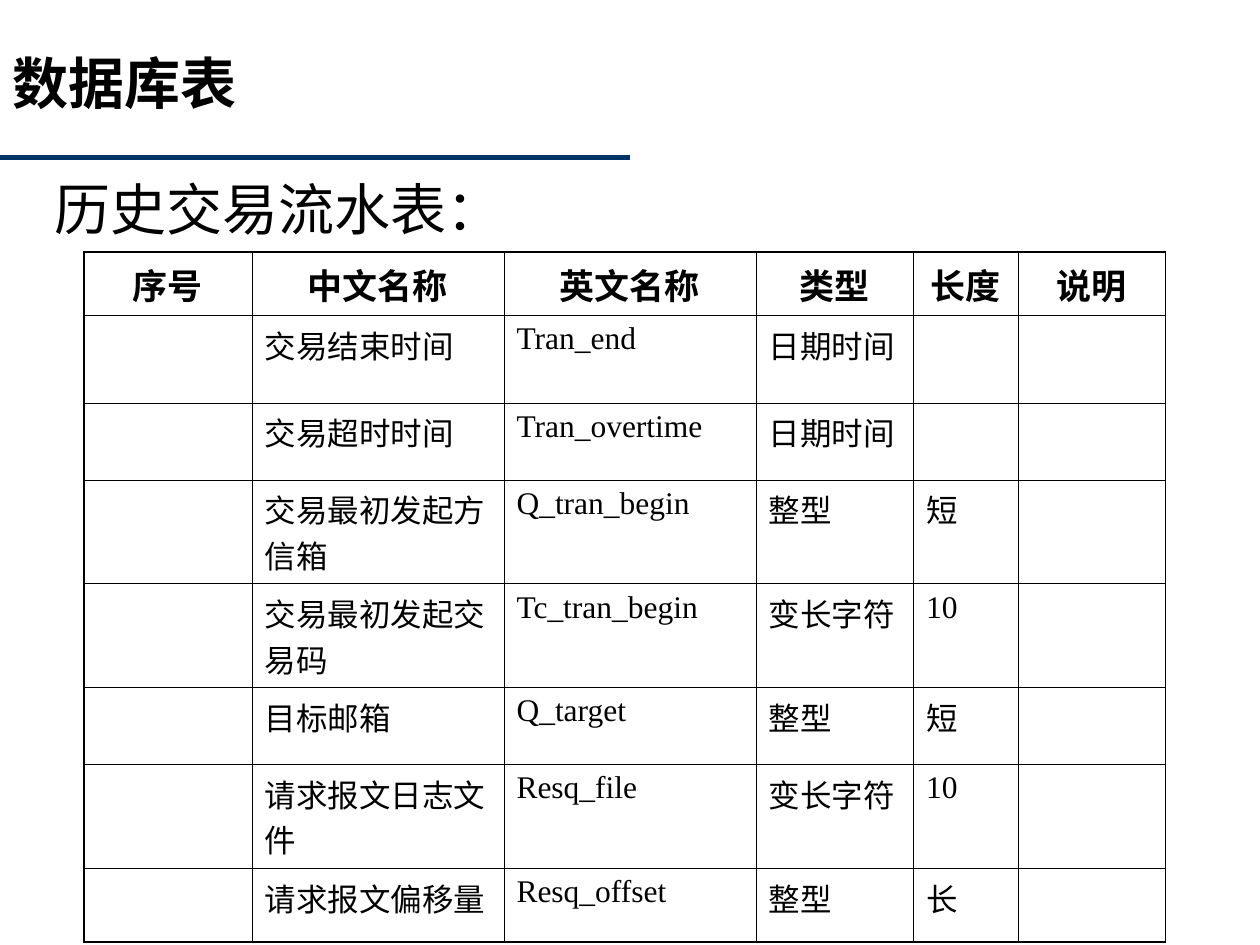
from lxml import etree
from pptx import Presentation
from pptx import util as u
from pptx.dml.color import RGBColor
from pptx.enum import shapes, text
from pptx.oxml import ns

BLACK, NAVY = "000000", "003366"
SERIF, SANS = "Times New Roman", "Noto Sans CJK SC"
THIN, THICK = 0.45, 1.08
COLUMN_WIDTHS = (96, 144, 144, 90, 60, 84)
ROW_HEIGHTS = (36, 50, 44, 59, 59, 44, 59, 42)
HEADINGS = ("序号", "中文名称", "英文名称", "类型", "长度", "说明")
FIELDS = (
    ("", "交易结束时间", "Tran_end", "日期时间", "", ""),
    ("", "交易超时时间", "Tran_overtime", "日期时间", "", ""),
    ("", "交易最初发起方信箱", "Q_tran_begin", "整型", "短", ""),
    ("", "交易最初发起交易码", "Tc_tran_begin", "变长字符", "10", ""),
    ("", "目标邮箱", "Q_target", "整型", "短", ""),
    ("", "请求报文日志文件", "Resq_file", "变长字符", "10", ""),
    ("", "请求报文偏移量", "Resq_offset", "整型", "长", ""),
)


def color(value):
    """Return the colour for a hex string."""
    return RGBColor.from_string(value)


def set_values(target, values):
    """Set each named attribute of the target."""
    for name, value in values.items():
        setattr(target, name, value)


def write(frame, words, size, font=SERIF, bold=False, **layout):
    """Write one formatted paragraph into a text frame."""
    frame.text = words
    paragraph = frame.paragraphs[0]
    set_values(paragraph, layout)
    set_values(paragraph.font, {"size": u.Pt(size), "name": font, "bold": bold})
    paragraph.font.color.rgb = color(BLACK)


def place(shape, left, top, width, height):
    """Position a shape and wrap its text from the top."""
    box = {"left": left, "top": top, "width": width, "height": height}
    set_values(shape, {name: u.Pt(value) for name, value in box.items()})
    set_values(shape.text_frame, {
        "word_wrap": True,
        "auto_size": text.MSO_AUTO_SIZE.NONE,
        "vertical_anchor": text.MSO_ANCHOR.TOP,
    })


def add_title(slide, words):
    """Fill the title placeholder."""
    title = slide.shapes.title
    place(title, -36, 24, 582, 90)
    title.text_frame.margin_left = u.Pt(43)
    write(title.text_frame, words, 32, SANS, True,
          alignment=text.PP_ALIGN.LEFT)


def add_rule(slide):
    """Draw the line under the title."""
    rule = slide.shapes.add_connector(
        shapes.MSO_CONNECTOR.STRAIGHT, 0, u.Pt(90), u.Pt(360), u.Pt(90))
    rule.line.width = u.Pt(3)
    rule.line.color.rgb = color(NAVY)
    etree.SubElement(rule.element.spPr, ns.qn("a:effectLst"))


def add_caption(slide, words):
    """Add the heading above the table."""
    caption = slide.shapes.add_textbox(0, 0, 0, 0)
    place(caption, 24, 96, 642, 48)
    write(caption.text_frame, words, 32, alignment=text.PP_ALIGN.JUSTIFY)


def set_borders(cell, widths):
    """Draw the cell borders with the width given for each side."""
    properties = cell._tc.get_or_add_tcPr()
    for side, width in widths.items():
        line = etree.SubElement(
            properties, ns.qn(f"a:ln{side}"), w=str(int(u.Pt(width))))
        fill = etree.SubElement(line, ns.qn("a:solidFill"))
        etree.SubElement(fill, ns.qn("a:srgbClr"), val=BLACK)


def add_field_table(slide):
    """Add the table of fields with a thicker outer frame."""
    rows = (HEADINGS,) + FIELDS
    last_row, last_column = len(rows) - 1, len(HEADINGS) - 1
    table = slide.shapes.add_table(
        len(rows), len(HEADINGS), u.Pt(48), u.Pt(144),
        u.Pt(sum(COLUMN_WIDTHS)), u.Pt(sum(ROW_HEIGHTS))).table
    set_values(table, {"first_row": False, "horz_banding": False})
    for column, width in zip(table.columns, COLUMN_WIDTHS):
        column.width = u.Pt(width)
    for i, (row, height) in enumerate(zip(rows, ROW_HEIGHTS)):
        table.rows[i].height = u.Pt(height)
        heading = i == 0
        align = text.PP_ALIGN.CENTER if heading else text.PP_ALIGN.LEFT
        for j, words in enumerate(row):
            cell = table.cell(i, j)
            write(cell.text_frame, words, 20 if heading else 18,
                  bold=heading, alignment=align)
            outer = {"L": j == 0, "R": j == last_column,
                     "T": heading, "B": i == last_row}
            set_borders(cell, {side: THICK if edge else THIN
                               for side, edge in outer.items()})
            cell.fill.background()


def main():
    """Build and save the slide."""
    presentation = Presentation()
    set_values(presentation, {"slide_width": u.Pt(720), "slide_height": u.Pt(540)})
    slide = presentation.slides.add_slide(presentation.slide_layouts[5])
    add_rule(slide)
    add_title(slide, "数据库表")
    add_caption(slide, "历史交易流水表：")
    add_field_table(slide)
    presentation.save("out.pptx")


if __name__ == "__main__":
    main()
